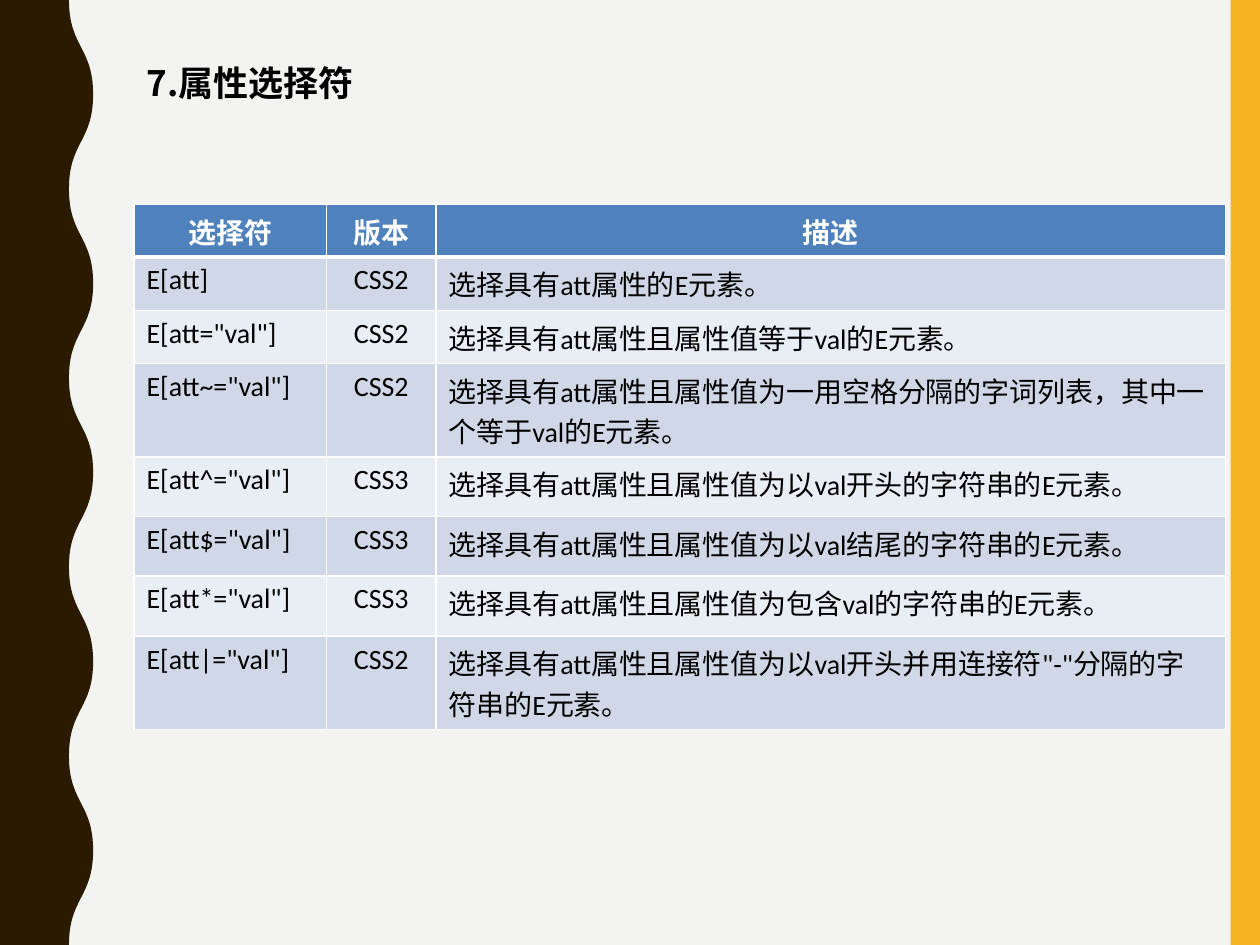
from lxml.etree import SubElement
from pptx import Presentation
from pptx.dml.color import RGBColor
from pptx.enum.shapes import MSO_SHAPE
from pptx.enum.text import MSO_ANCHOR, MSO_AUTO_SIZE, PP_ALIGN
from pptx.oxml.ns import qn
from pptx.util import Pt

COLORS = {
    "background": "F3F3F2",
    "wave": "2A1A00",
    "stripe": "F8B323",
    "header": "4F81BD",
    "odd_row": "D0D8E8",
    "even_row": "E9EDF4",
    "white": "FFFFFF",
    "black": "000000",
}
LATIN_FONT = "Calibri"
CHINESE_FONT = "Noto Sans CJK SC"
SLIDE_WIDTH, SLIDE_HEIGHT = 720, 540

COLUMN_WIDTHS = [110, 62.6, 451]
ROW_HEIGHTS = [30, 30.6, 30.4, 53.4, 34, 34, 34.4, 53.4]
HEADER = ("选择符", "版本", "描述")
SELECTORS = [
    ("E[att]", "CSS2", "选择具有att属性的E元素。"),
    ('E[att="val"]', "CSS2", "选择具有att属性且属性值等于val的E元素。"),
    ('E[att~="val"]', "CSS2",
     "选择具有att属性且属性值为一用空格分隔的字词列表，其中一个等于val的E元素。"),
    ('E[att^="val"]', "CSS3", "选择具有att属性且属性值为以val开头的字符串的E元素。"),
    ('E[att$="val"]', "CSS3", "选择具有att属性且属性值为以val结尾的字符串的E元素。"),
    ('E[att*="val"]', "CSS3", "选择具有att属性且属性值为包含val的字符串的E元素。"),
    ('E[att|="val"]', "CSS2",
     '选择具有att属性且属性值为以val开头并用连接符"-"分隔的字符串的E元素。'),
]


def color(name):
    return RGBColor.from_string(COLORS[name])


def style_paragraph(paragraph, size, latin, color_name, bold, align):
    paragraph.alignment = align
    font = paragraph.font
    font.size, font.name, font.bold = Pt(size), latin, bold
    font.color.rgb = color(color_name)
    properties = paragraph._p.pPr.find(qn("a:defRPr"))
    SubElement(properties, qn("a:ea"), typeface=CHINESE_FONT)


def paint(shape, color_name):
    shape.shadow.inherit = False
    shape.fill.solid()
    shape.fill.fore_color.rgb = color(color_name)
    shape.line.fill.background()


def add_stripe(slide, left, top, width, height):
    stripe = slide.shapes.add_shape(
        MSO_SHAPE.RECTANGLE, Pt(left), Pt(top), Pt(width), Pt(height))
    paint(stripe, "stripe")


def bend_segments(shape, count):
    """Turn the first count straight segments into S-curves with vertical ends."""
    outline = shape._element.find(".//" + qn("a:path"))
    start = outline[0][0]
    for segment in outline[1:count + 1]:
        end = segment[0]
        middle = str((int(start.get("y")) + int(end.get("y"))) // 2)
        segment.tag = qn("a:cubicBezTo")
        for position, anchor in enumerate((start, end)):
            control = SubElement(segment, qn("a:pt"), x=anchor.get("x"), y=middle)
            segment.insert(position, control)
        start = end


def add_wave(slide, left, top, width, height, depth=13.8, bends=10):
    """Band whose right edge swings by depth, bends times down its height."""
    inner, outer = left + width - depth, left + width
    edge = [(Pt(outer if bend % 2 else inner), Pt(top + height * bend / bends))
            for bend in range(bends + 1)]
    corners = [(Pt(left), Pt(top + height)), (Pt(left), Pt(top))]
    builder = slide.shapes.build_freeform(*edge[0])
    builder.add_line_segments(edge[1:] + corners, close=True)
    wave = builder.convert_to_shape()
    bend_segments(wave, bends)
    paint(wave, "wave")


def place_title(slide, left, top, width, height):
    title = slide.shapes.title
    title.left, title.top = Pt(left), Pt(top)
    title.width, title.height = Pt(width), Pt(height)
    frame = title.text_frame
    frame.text = "7.属性选择符"
    frame.word_wrap = True
    frame.auto_size = MSO_AUTO_SIZE.SHAPE_TO_FIT_TEXT
    frame.vertical_anchor = MSO_ANCHOR.TOP
    style_paragraph(frame.paragraphs[0], 20, CHINESE_FONT, "black", True, PP_ALIGN.LEFT)


def add_borders(cell, widths):
    properties = cell._tc.get_or_add_tcPr()
    for side, width in zip("LRTB", widths):
        line = SubElement(properties, qn(f"a:ln{side}"), w=str(Pt(width)))
        fill = SubElement(line, qn("a:solidFill"))
        SubElement(fill, qn("a:srgbClr"), val=COLORS["white"])


def format_cell(cell, text, row, column):
    is_header = row == 0
    add_borders(cell, (1, 1, 3 if row == 1 else 1, 3 if is_header else 1))
    cell.fill.solid()
    band = "header" if is_header else "odd_row" if row % 2 else "even_row"
    cell.fill.fore_color.rgb = color(band)
    cell.text = text
    paragraph = cell.text_frame.paragraphs[0]
    paragraph.space_before = Pt(3.2)
    centred = is_header or column == 1
    style_paragraph(paragraph, 16, LATIN_FONT, "white" if is_header else "black",
                    is_header, PP_ALIGN.CENTER if centred else PP_ALIGN.LEFT)


def add_selector_table(slide, left, top):
    rows = [HEADER, *SELECTORS]
    table = slide.shapes.add_table(
        len(rows), len(HEADER), Pt(left), Pt(top),
        Pt(sum(COLUMN_WIDTHS)), Pt(sum(ROW_HEIGHTS))).table
    for column, width in zip(table.columns, COLUMN_WIDTHS):
        column.width = Pt(width)
    for row, height in zip(table.rows, ROW_HEIGHTS):
        row.height = Pt(height)
    for row, texts in enumerate(rows):
        for column, text in enumerate(texts):
            format_cell(table.cell(row, column), text, row, column)


def main():
    presentation = Presentation()
    presentation.slide_width, presentation.slide_height = Pt(SLIDE_WIDTH), Pt(SLIDE_HEIGHT)
    slide = presentation.slides.add_slide(presentation.slide_layouts[5])
    slide.background.fill.solid()
    slide.background.fill.fore_color.rgb = color("background")
    add_stripe(slide, SLIDE_WIDTH - 16.8, 0, 16.8, SLIDE_HEIGHT)
    add_wave(slide, 0, 0, 53.2, SLIDE_HEIGHT)
    add_selector_table(slide, 76.6, 116.8)
    place_title(slide, 76.6, 31.6, 322, 31.6)
    presentation.save("out.pptx")


if __name__ == "__main__":
    main()
